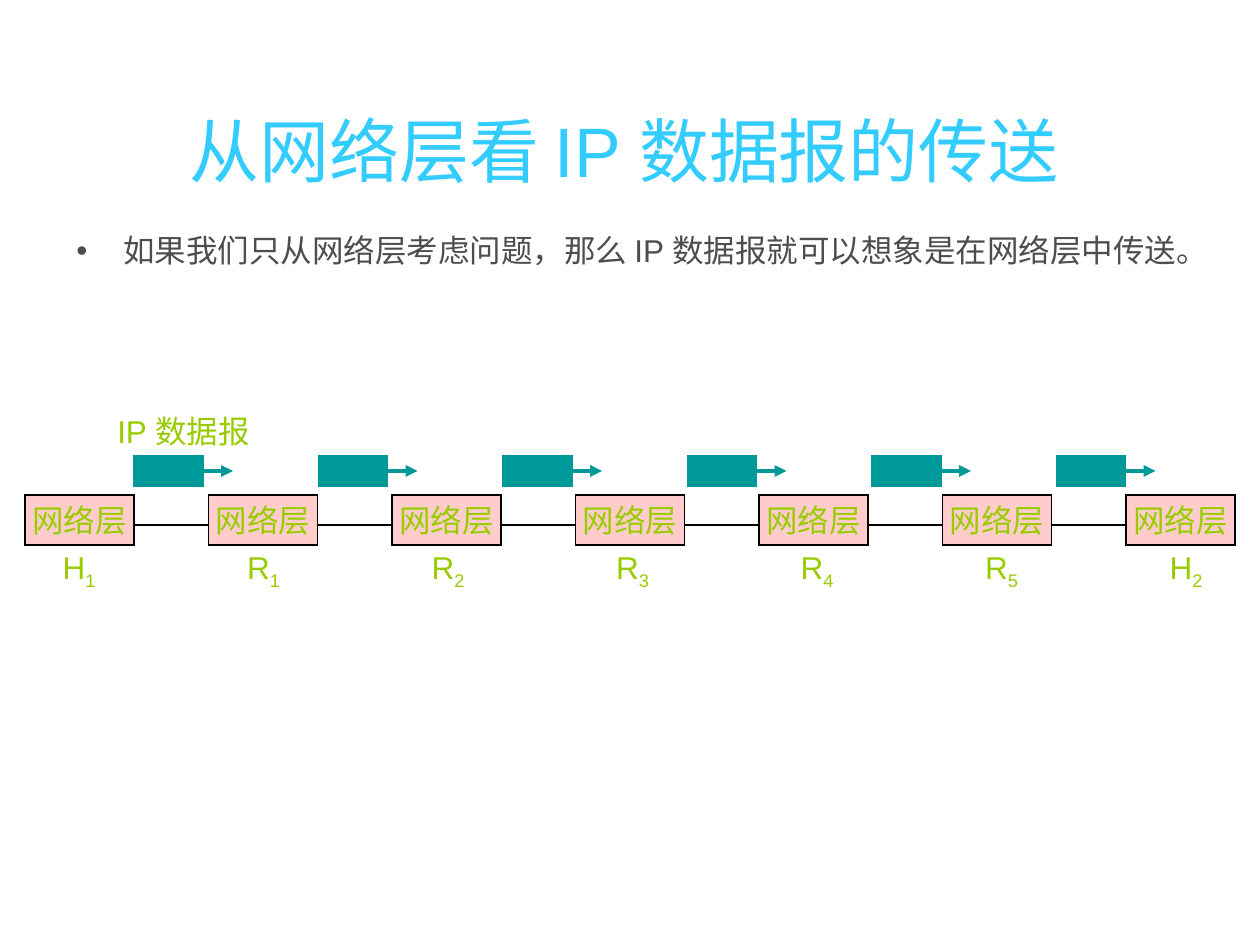
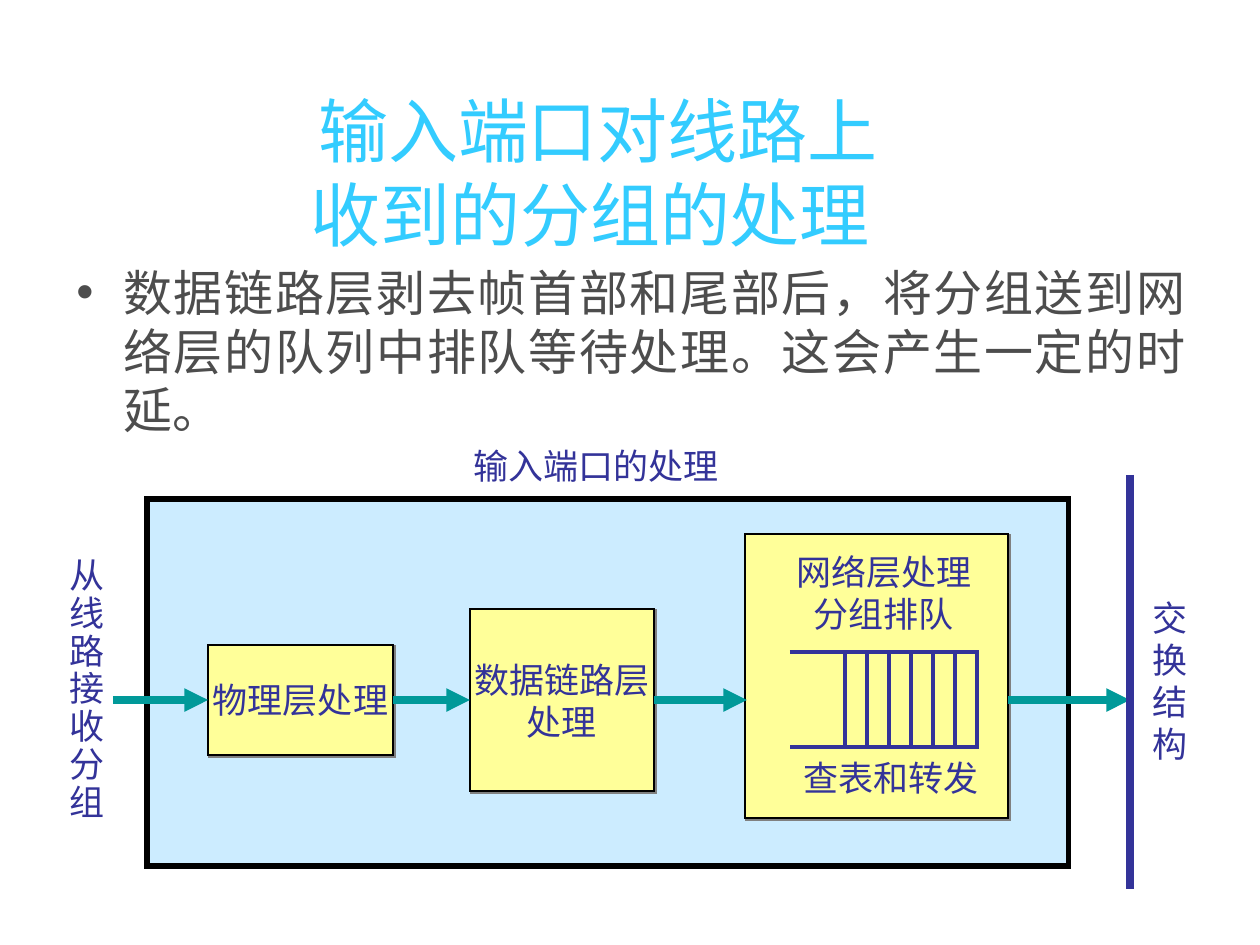
"""Build two slides on IP datagram delivery and input port processing."""
from lxml.etree import SubElement
from pptx import Presentation
from pptx.dml.color import RGBColor
from pptx.enum.shapes import MSO_CONNECTOR, MSO_SHAPE
from pptx.enum.text import MSO_ANCHOR, PP_ALIGN
from pptx.oxml.ns import qn
from pptx.util import Pt

UNIT = 914400 / 126
WIDE, HIGH = 1260, 945
FONT = "Arial"
HEX = {
    "title": "33CCFF", "body": "4D4D4D", "lime": "99CC00", "pink": "FFCCCC",
    "teal": "009999", "navy": "333399", "black": "000000", "sky": "CCECFF",
    "yellow": "FFFF99", "shade": "808080",
}
TITLE = {"size": 40, "color": "title"}
NOTE = {"size": 18, "color": "lime"}
LABEL = {"size": 20, "color": "navy"}

HEADS = [
    ("从网络层看 IP 数据报的传送 ", (65, 106, 1134, 88)),
    ("输入端口对线路上\v收到的分组的处理 ", (99, 148, 998, 47)),
]
POINTS = [
    ("如果我们只从网络层考虑问题，那么 IP 数据报就可以想象是在网络层中传送。",
     (64, 225, 1134, 197), 18, 4.5, PP_ALIGN.LEFT),
    ("数据链路层剥去帧首部和尾部后，将分组送到网络层的队列中排队等待处理。这会产生一定的时延。 ",
     (64, 256, 1134, 209), 28, 7, PP_ALIGN.JUSTIFY),
]
NODES = ["H1", "R1", "R2", "R3", "R4", "R5", "H2"]
STAGES = [
    ("物理层处理", (208, 645, 185, 110)),
    ("数据链路层\n处理", (470, 609, 184, 182)),
    ("", (745, 534, 263, 284)),
]
TAGS = [
    ("网络层处理\n分组排队", (764, 544, 240, 97), 1),
    ("交\n换\n结\n构", (1140, 590, 60, 181), 1),
    ("输入端口的处理", (446, 438, 300, 55), 1),
    ("从\n线\n路\n接\n收\n分\n组", (57, 552, 60, 277), 0.9),
    ("查表和转发", (771, 750, 240, 55), 1),
]


def px(*nums):
    return [round(n * UNIT) for n in nums]


def rgb(name):
    return RGBColor.from_string(HEX[name])


def style(run, size, color):
    for key, val in {"name": FONT, "size": Pt(size)}.items():
        setattr(run.font, key, val)
    run.font.color.rgb = rgb(color)


def write(shape, text, look, wrap=False, anchor=MSO_ANCHOR.TOP, **para):
    frame = shape.text_frame
    frame.text = text
    frame.word_wrap = wrap
    frame.vertical_anchor = anchor
    for item in frame.paragraphs:
        for key, val in {"alignment": PP_ALIGN.CENTER, **para}.items():
            setattr(item, key, val)
        for run in item.runs:
            style(run, **look)
    return frame.paragraphs[0]


def label(slide, text, area, look, **para):
    return write(slide.shapes.add_textbox(*px(*area)), text, look, **para)


def block(slide, area, fill, edge, width):
    shape = slide.shapes.add_shape(MSO_SHAPE.RECTANGLE, *px(*area))
    paint(shape, fill, edge, width)
    return shape


def paint(shape, fill, edge, width):
    shape.shadow.inherit = False
    shape.fill.solid()
    shape.fill.fore_color.rgb = rgb(fill)
    shape.line.color.rgb = rgb(edge)
    shape.line.width = Pt(width)
    SubElement(shape._element.spPr.find(qn("a:ln")), qn("a:miter"), lim="800000")


def shade(shape):
    fx = shape._element.spPr.find(qn("a:effectLst"))
    drop = SubElement(fx, qn("a:outerShdw"), dist=str(Pt(1.4)), dir="2700000",
                      algn="ctr", rotWithShape="0")
    SubElement(drop, qn("a:srgbClr"), val=HEX["shade"])


def wire(slide, ends, color, width, arrow=False):
    line = slide.shapes.add_connector(MSO_CONNECTOR.STRAIGHT, *px(*ends))
    line.line.color.rgb = rgb(color)
    line.line.width = Pt(width)
    props = line._element.spPr
    if arrow:
        SubElement(props.find(qn("a:ln")), qn("a:tailEnd"), type="triangle")
    SubElement(props, qn("a:effectLst"))
    return line


def start(deck, head, point):
    slide = deck.slides.add_slide(deck.slide_layouts[6])
    label(slide, *head, TITLE, wrap=True, anchor=MSO_ANCHOR.MIDDLE)
    text, area, size, gap, align = point
    para = label(slide, text, area, {"size": size, "color": "body"},
                 wrap=True, alignment=align, space_before=Pt(gap))
    props = para._p.get_or_add_pPr()
    left = px(47)[0]
    props.set("marL", str(left))
    props.set("indent", str(-left))
    tint = SubElement(props, qn("a:buClr"))
    SubElement(tint, qn("a:srgbClr"), val=HEX["body"])
    SubElement(props, qn("a:buFont"), typeface=FONT)
    SubElement(props, qn("a:buChar"), char="•")
    return slide


def route(slide):
    wire(slide, (105, 525, 1166, 525), "black", 0.75)
    last = len(NODES) - 1
    for i, (kind, num) in enumerate(NODES):
        box = block(slide, (25 + 1101 * i / last, 495, 109, 50),
                    "pink", "black", 0.75)
        write(box, "网络层", NOTE, anchor=MSO_ANCHOR.MIDDLE)
        step = 1107 * i / last
        para = label(slide, kind, (50 + step, 542, 58, 55), NOTE)
        sub = para.add_run()
        sub.text = num
        style(sub, **NOTE)
        sub._r.get_or_add_rPr().set("baseline", "-25000")
        if i < last:
            block(slide, (134 + step, 456, 69, 30), "teal", "teal", 0.75)
            wire(slide, (194 + step, 471, 233 + step, 471), "teal", 2.25, True)
    label(slide, "IP 数据报", (91, 406, 185, 50), NOTE)


def queue(slide, left=790, top=652, right=977, base=747):
    path = slide.shapes.build_freeform(left, top, scale=UNIT)
    path.add_line_segments([(right, top), (right, base), (left, base)],
                           close=False)
    paint(path.convert_to_shape(), "yellow", "navy", 2.25)
    for x in range(right - 22, 840, -22):
        wire(slide, (x, top, x, base), "navy", 2.25)


def port(slide):
    block(slide, (147, 499, 922, 367), "sky", "black", 3)
    boxes = []
    for text, area in STAGES:
        box = block(slide, area, "yellow", "black", 1.5)
        shade(box)
        if text:
            write(box, text, LABEL, anchor=MSO_ANCHOR.MIDDLE)
        boxes.append(box)
    phys, data, _ = boxes
    hops = [(113, 208, None, phys), (393, 470, phys, data),
            (654, 747, data, None), (1008, 1130, None, None)]
    for x, end, src, dest in hops:
        line = wire(slide, (x, 700, end, 700), "teal", 4.5, True)
        if src:
            line.begin_connect(src, 3)
        if dest:
            line.end_connect(dest, 1)
    wire(slide, (1130, 475, 1130, 889), "navy", 4.5)
    queue(slide)
    for text, area, pitch in TAGS:
        label(slide, text, area, LABEL, line_spacing=pitch)


def main():
    deck = Presentation()
    deck.slide_width, deck.slide_height = px(WIDE, HIGH)
    for head, point, draw in zip(HEADS, POINTS, (route, port)):
        draw(start(deck, head, point))
    deck.save("out.pptx")


if __name__ == "__main__":
    main()
